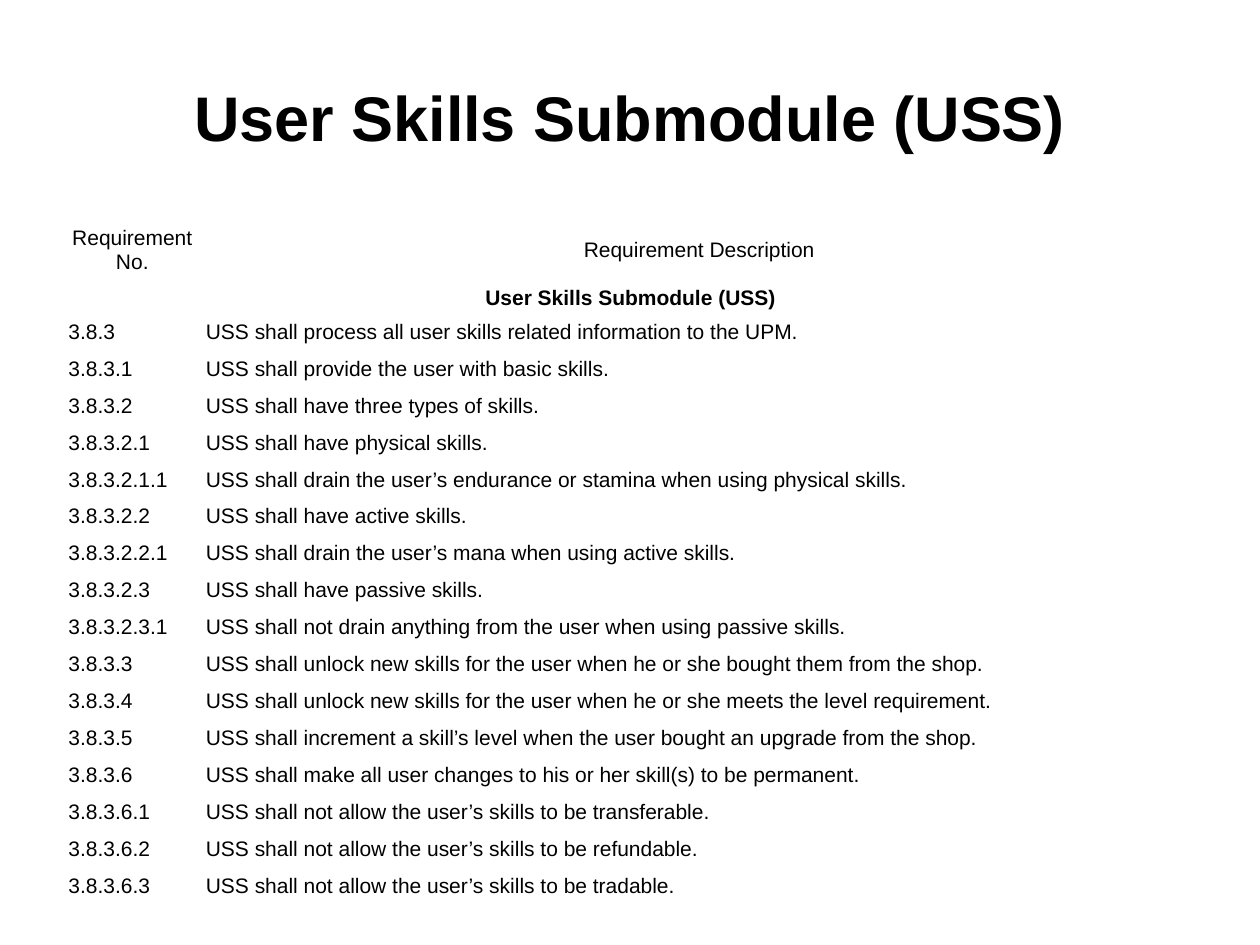
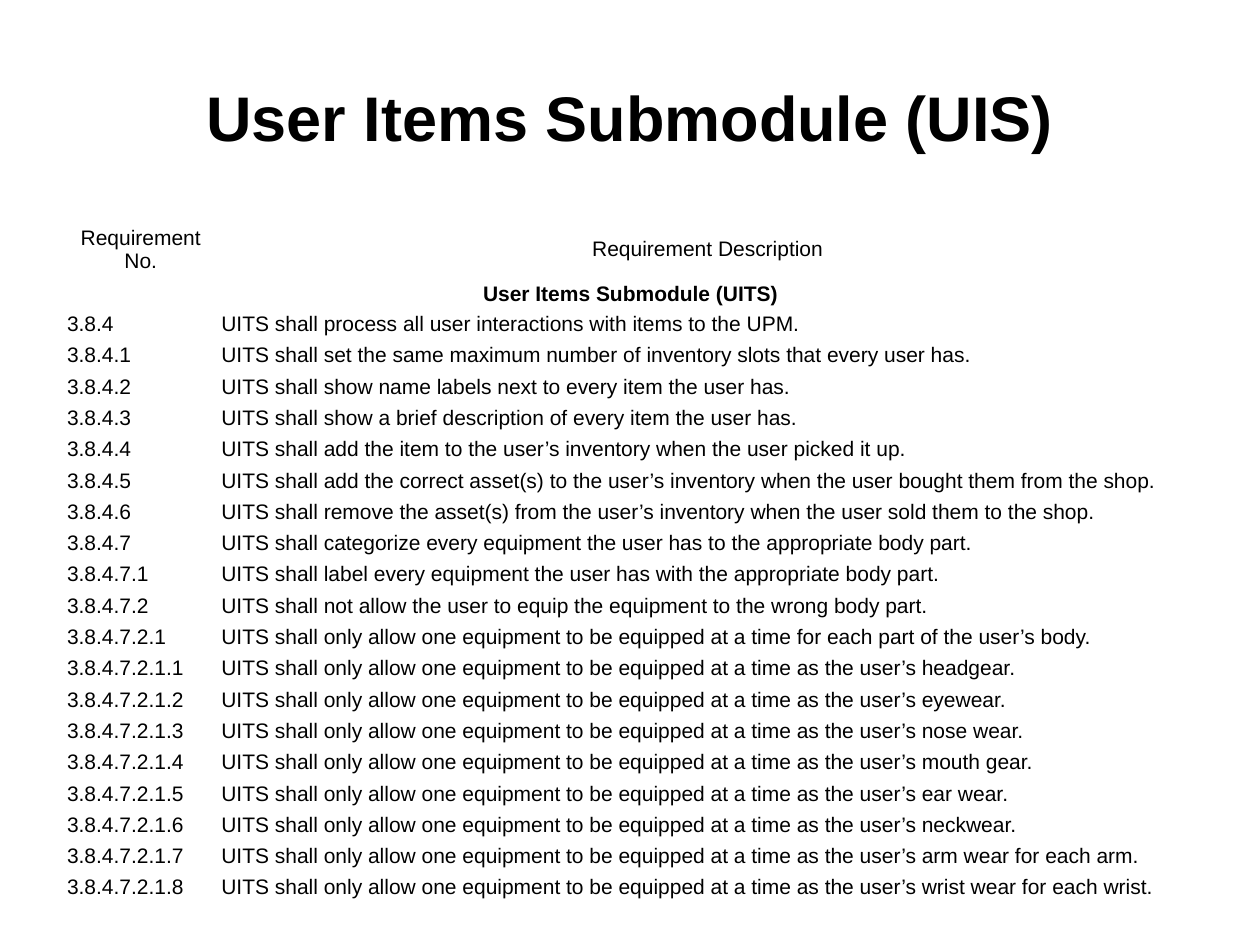
from pptx import Presentation
from pptx.dml.color import RGBColor
from pptx.enum.text import MSO_ANCHOR, PP_ALIGN
from pptx.util import Pt

COLORS = {"background": "FFFFFF", "text": "000000"}
FONT = "Arial"
LEFT, CONTENT_WIDTH = 36, 648
INDENT = 0.72

# Requirements: number suffix and what the submodule shall do
SKILLS = [
    ("", "process all user skills related information to the UPM."),
    (".1", "provide the user with basic skills."),
    (".2", "have three types of skills."),
    (".2.1", "have physical skills."),
    (".2.1.1", "drain the user’s endurance or stamina when using physical skills."),
    (".2.2", "have active skills."),
    (".2.2.1", "drain the user’s mana when using active skills."),
    (".2.3", "have passive skills."),
    (".2.3.1", "not drain anything from the user when using passive skills."),
    (".3", "unlock new skills for the user when he or she bought them from the shop."),
    (".4", "unlock new skills for the user when he or she meets the level requirement."),
    (".5", "increment a skill’s level when the user bought an upgrade from the shop."),
    (".6", "make all user changes to his or her skill(s) to be permanent."),
    (".6.1", "not allow the user’s skills to be transferable."),
    (".6.2", "not allow the user’s skills to be refundable."),
    (".6.3", "not allow the user’s skills to be tradable."),
]

ONE_AT_A_TIME = "only allow one equipment to be equipped at a time"
WEARABLES = ["headgear", "eyewear", "nose wear", "mouth gear", "ear wear",
             "neckwear", "arm wear for each arm", "wrist wear for each wrist"]
ITEMS = [
    ("", "process all user interactions with items to the UPM."),
    (".1", "set the same maximum number of inventory slots that every user has."),
    (".2", "show name labels next to every item the user has."),
    (".3", "show a brief description of every item the user has."),
    (".4", "add the item to the user’s inventory when the user picked it up."),
    (".5", "add the correct asset(s) to the user’s inventory when the user bought "
           "them from the shop."),
    (".6", "remove the asset(s) from the user’s inventory when the user sold them "
           "to the shop."),
    (".7", "categorize every equipment the user has to the appropriate body part."),
    (".7.1", "label every equipment the user has with the appropriate body part."),
    (".7.2", "not allow the user to equip the equipment to the wrong body part."),
    (".7.2.1", f"{ONE_AT_A_TIME} for each part of the user’s body."),
] + [
    (f".7.2.1.{index}", f"{ONE_AT_A_TIME} as the user’s {wearable}.")
    for index, wearable in enumerate(WEARABLES, 1)
]


class Deck:
    """Holds the shared style and the current slide."""

    def __init__(self):
        self.presentation = Presentation()
        self.presentation.slide_width = Pt(720)
        self.presentation.slide_height = Pt(540)
        self.slide = None

    def add_slide(self):
        layout = self.presentation.slide_layouts[6]
        self.slide = self.presentation.slides.add_slide(layout)
        fill = self.slide.background.fill
        fill.solid()
        fill.fore_color.rgb = RGBColor.from_string(COLORS["background"])

    def add_text(self, text_frame, text, size, bold=False, align=PP_ALIGN.LEFT):
        text_frame.text = text
        text_frame.word_wrap = True
        paragraph = text_frame.paragraphs[0]
        paragraph.alignment = align
        font = paragraph.runs[0].font
        font.name, font.size, font.bold = FONT, Pt(size), bold
        font.color.rgb = RGBColor.from_string(COLORS["text"])

    def add_title(self, text):
        shape = self.slide.shapes.add_textbox(
            Pt(LEFT), Pt(21.6), Pt(CONTENT_WIDTH), Pt(90))
        self.add_text(shape.text_frame, text, 36, True, PP_ALIGN.CENTER)
        shape.text_frame.vertical_anchor = MSO_ANCHOR.MIDDLE

    def add_cell(self, cell, text, inset, heading=False, bold=False):
        cell.fill.background()
        cell.margin_left = Pt(inset + INDENT)
        cell.margin_right = cell.margin_top = cell.margin_bottom = Pt(inset)
        cell.vertical_anchor = MSO_ANCHOR.MIDDLE if heading else MSO_ANCHOR.TOP
        align = PP_ALIGN.CENTER if heading else PP_ALIGN.LEFT
        self.add_text(cell.text_frame, text, 12, bold, align)

    def add_requirements(self, heading, requirements, number_width,
                         header_height, row_height, inset):
        row_count = len(requirements) + 2
        height = header_height + (row_count - 1) * row_height
        table = self.slide.shapes.add_table(
            row_count, 2, Pt(LEFT), Pt(126), Pt(CONTENT_WIDTH), Pt(height)).table
        table.first_row = table.horz_banding = False
        table.columns[0].width = Pt(number_width)
        table.columns[1].width = Pt(CONTENT_WIDTH - number_width)
        for index, row in enumerate(table.rows):
            row.height = Pt(row_height if index else header_height)

        # Column headings and the merged submodule heading
        for column, text in enumerate(["Requirement No.", "Requirement Description"]):
            self.add_cell(table.cell(0, column), text, inset, heading=True)
        table.cell(1, 0).merge(table.cell(1, 1))
        self.add_cell(table.cell(1, 0), heading, inset, heading=True, bold=True)

        # Numbered requirements
        for row_index, requirement in enumerate(requirements, 2):
            for column, text in enumerate(requirement):
                self.add_cell(table.cell(row_index, column), text, inset)


def number_requirements(section, submodule, entries):
    return [(section + suffix, f"{submodule} shall {duty}") for suffix, duty in entries]


def main():
    deck = Deck()

    # User skills
    deck.add_slide()
    deck.add_title("User Skills Submodule (USS)")
    deck.add_requirements(
        "User Skills Submodule (USS)", number_requirements("3.8.3", "USS", SKILLS),
        number_width=78.5, header_height=32.8, row_height=21.1, inset=2.4)

    # User items
    deck.add_slide()
    deck.add_title("User Items Submodule (UIS)")
    deck.add_requirements(
        "User Items Submodule (UITS)", number_requirements("3.8.4", "UITS", ITEMS),
        number_width=88.2, header_height=33.1, row_height=17.9, inset=1.6)

    deck.presentation.save("out.pptx")


if __name__ == "__main__":
    main()
